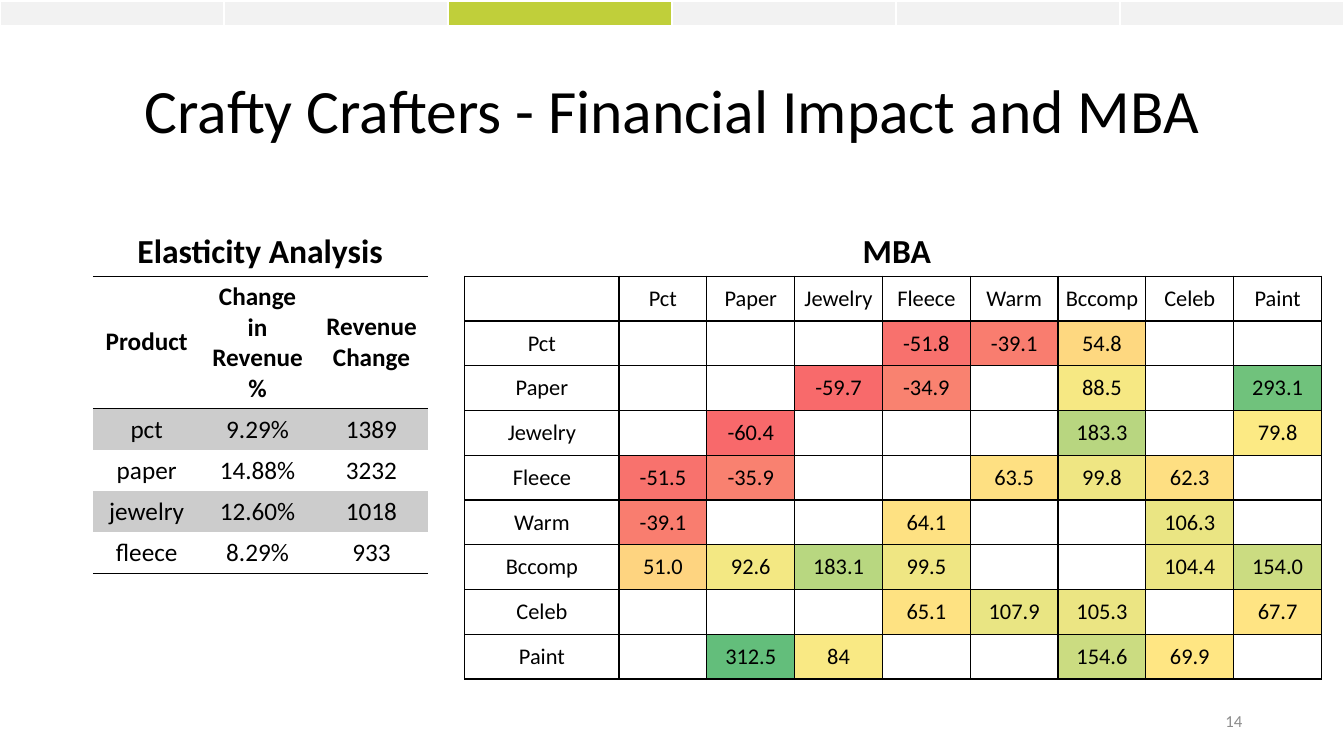
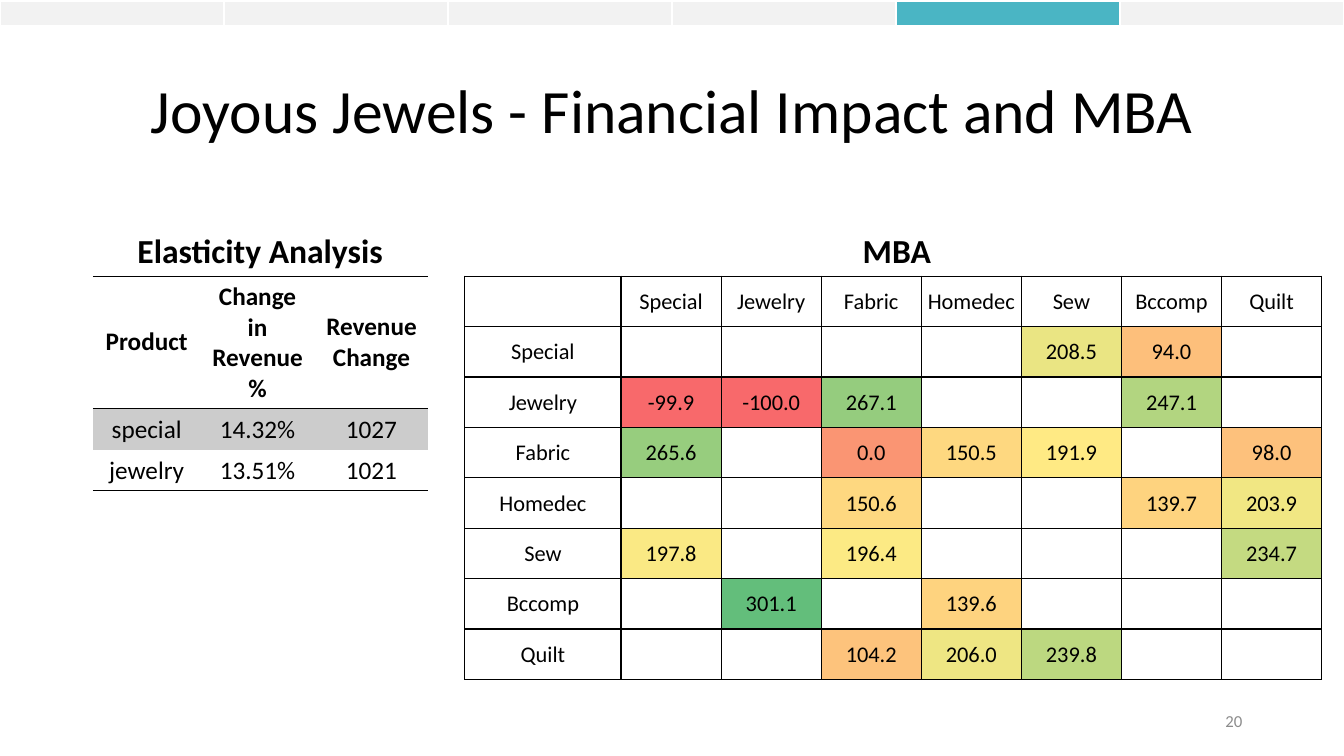
from lxml.etree import SubElement
from pptx import Presentation
from pptx.dml.color import RGBColor
from pptx.enum.text import MSO_ANCHOR, PP_ALIGN
from pptx.oxml.ns import qn
from pptx.util import Emu, Pt

PX = 9144
FONT = "Calibri"
NO_STYLE = "{2D5ABB26-0587-4C30-8999-92F81FD0307C}"

BLACK = RGBColor(0x00, 0x00, 0x00)
WHITE = RGBColor(0xFF, 0xFF, 0xFF)
GRAY = RGBColor(0x8C, 0x8C, 0x8C)
BAND = RGBColor(0xCC, 0xCC, 0xCC)
TAB = RGBColor(0xF2, 0xF2, 0xF2)
LIME = RGBColor(0xC0, 0xCF, 0x3A)
TEAL = RGBColor(0x4A, 0xB5, 0xC4)
LOW = RGBColor(0xF8, 0x69, 0x6B)
MID = RGBColor(0xFF, 0xEB, 0x84)
HIGH = RGBColor(0x63, 0xBE, 0x7B)

TABS = 6
BOX = {"L": 1, "R": 1, "T": 1, "B": 1}
TAB_BOX = {**BOX, "B": 3}
ELASTICITY_HEAD = ["Product", "Change in Revenue %", "Revenue Change"]

SLIDES = [
    {
        "title": "Crafty Crafters - Financial Impact and MBA",
        "number": "14",
        "tab": 2,
        "accent": LIME,
        "elasticity": [
            ["pct", "9.29%", "1389"],
            ["paper", "14.88%", "3232"],
            ["jewelry", "12.60%", "1018"],
            ["fleece", "8.29%", "933"],
        ],
        "label_width": 153,
        "margin": 0,
        "labels": ["Pct", "Paper", "Jewelry", "Fleece", "Warm", "Bccomp", "Celeb", "Paint"],
        "lift": [
            ["", "", "", "-51.8", "-39.1", "54.8", "", ""],
            ["", "", "-59.7", "-34.9", "", "88.5", "", "293.1"],
            ["", "-60.4", "", "", "", "183.3", "", "79.8"],
            ["-51.5", "-35.9", "", "", "63.5", "99.8", "62.3", ""],
            ["-39.1", "", "", "64.1", "", "", "106.3", ""],
            ["51.0", "92.6", "183.1", "99.5", "", "", "104.4", "154.0"],
            ["", "", "", "65.1", "107.9", "105.3", "", "67.7"],
            ["", "312.5", "84", "", "", "154.6", "69.9", ""],
        ],
    },
    {
        "title": "Joyous Jewels - Financial Impact and MBA",
        "number": "20",
        "tab": 4,
        "accent": TEAL,
        "elasticity": [
            ["special", "14.32%", "1027"],
            ["jewelry", "13.51%", "1021"],
        ],
        "label_width": 155,
        "margin": 1,
        "labels": ["Special", "Jewelry", "Fabric", "Homedec", "Sew", "Bccomp", "Quilt"],
        "lift": [
            ["", "", "", "", "208.5", "94.0", ""],
            ["-99.9", "-100.0", "267.1", "", "", "247.1", ""],
            ["265.6", "", "0.0", "150.5", "191.9", "", "98.0"],
            ["", "", "150.6", "", "", "139.7", "203.9"],
            ["197.8", "", "196.4", "", "", "", "234.7"],
            ["", "301.1", "", "139.6", "", "", ""],
            ["", "", "104.2", "206.0", "239.8", "", ""],
        ],
    },
]


def add_text(tf, text, size, color=BLACK, bold=False, align=PP_ALIGN.CENTER, spacing=1.0):
    tf.word_wrap = True
    p = tf.paragraphs[0]
    p.alignment = align
    p.line_spacing = spacing
    r = p.add_run()
    r.text = text
    r.font.name = FONT
    r.font.size = Pt(size)
    r.font.bold = bold
    r.font.color.rgb = color


def add_grid(s, x, y, widths, heights, borders, color):
    frame = s.shapes.add_table(len(heights), len(widths), x * PX, y * PX, sum(widths), sum(heights))
    frame.element.find(".//" + qn("a:tableStyleId")).text = NO_STYLE
    table = frame.table
    table.first_row = False
    table.horz_banding = False
    for col, width in zip(table.columns, widths):
        col.width = Emu(width)
    for i, (row, height) in enumerate(zip(table.rows, heights)):
        row.height = Emu(height)
        for cell in row.cells:
            tcPr = cell._tc.get_or_add_tcPr()
            for side, width in borders[i].items():
                ln = SubElement(tcPr, qn("a:ln" + side), w=str(Pt(width)))
                fill = SubElement(ln, qn("a:solidFill"))
                SubElement(fill, qn("a:srgbClr"), val=str(color))
            cell.fill.background()
            cell.vertical_anchor = MSO_ANCHOR.MIDDLE
    return table


prs = Presentation()
prs.slide_width = Emu(1333 * PX)
prs.slide_height = Emu(750 * PX)

for data in SLIDES:
    s = prs.slides.add_slide(prs.slide_layouts[6])

    for text, box, anchor, style in [
        (data["title"], (92, 40, 1150, 145), MSO_ANCHOR.MIDDLE, {"size": 44, "spacing": 0.9}),
        ("Elasticity Analysis", (92, 184, 332, 90), MSO_ANCHOR.BOTTOM,
         {"size": 24, "bold": True, "spacing": 0.9}),
        ("MBA", (461, 184, 857, 90), MSO_ANCHOR.BOTTOM,
         {"size": 24, "bold": True, "spacing": 0.9}),
        (data["number"], (942, 695, 300, 40), MSO_ANCHOR.MIDDLE,
         {"size": 12, "color": GRAY, "align": PP_ALIGN.RIGHT}),
    ]:
        tf = s.shapes.add_textbox(*[v * PX for v in box]).text_frame
        tf.vertical_anchor = anchor
        add_text(tf, text, **style)

    tabs = add_grid(s, 0, 1, [1333 * PX // TABS] * TABS, [26 * PX], [TAB_BOX], WHITE)
    for i, cell in enumerate(tabs.rows[0].cells):
        cell.fill.solid()
        cell.fill.fore_color.rgb = data["accent"] if i == data["tab"] else TAB
        cell.margin_top = cell.margin_bottom = 0
        SubElement(cell.text_frame.paragraphs[0]._p, qn("a:endParaRPr"), sz="800")

    rows = [ELASTICITY_HEAD] + data["elasticity"]
    count = len(data["elasticity"])
    borders = [{"T": 1, "B": 1}] + [{}] * (count - 1) + [{"B": 1}]
    heights = [131 * PX] + [41 * PX] * count
    table = add_grid(s, 92, 274, [107 * PX, 113 * PX, 113 * PX], heights, borders, BLACK)
    for i, row in enumerate(rows):
        for j, text in enumerate(row):
            cell = table.cell(i, j)
            add_text(cell.text_frame, text, 18, bold=i == 0)
            if i:
                cell.margin_left = cell.margin_right = cell.margin_top = PX
                cell.margin_bottom = 0
            if i % 2:
                cell.fill.solid()
                cell.fill.fore_color.rgb = BAND

    labels = data["labels"]
    n = len(labels)
    values = sorted(float(v) for row in data["lift"] for v in row if v)
    low, high = values[0], values[-1]
    median = (values[(len(values) - 1) // 2] + values[len(values) // 2]) / 2
    rows = [[""] + labels] + [[name] + row for name, row in zip(labels, data["lift"])]
    widths = [data["label_width"] * PX] + [(850 - data["label_width"]) * PX // n] * n
    table = add_grid(s, 461, 274, widths, [400 * PX // (n + 1)] * (n + 1), [BOX] * (n + 1), BLACK)
    for i, row in enumerate(rows):
        for j, text in enumerate(row):
            if not text:
                continue
            cell = table.cell(i, j)
            cell.margin_left = cell.margin_right = cell.margin_top = data["margin"] * PX
            cell.margin_bottom = 0
            add_text(cell.text_frame, text, 16)
            if i and j:
                value = float(text)
                if value < median:
                    start, end, t = LOW, MID, (value - low) / (median - low)
                else:
                    start, end, t = MID, HIGH, (value - median) / (high - median)
                cell.fill.solid()
                cell.fill.fore_color.rgb = RGBColor(*[round(a + (b - a) * t) for a, b in zip(start, end)])

prs.save("out.pptx")
